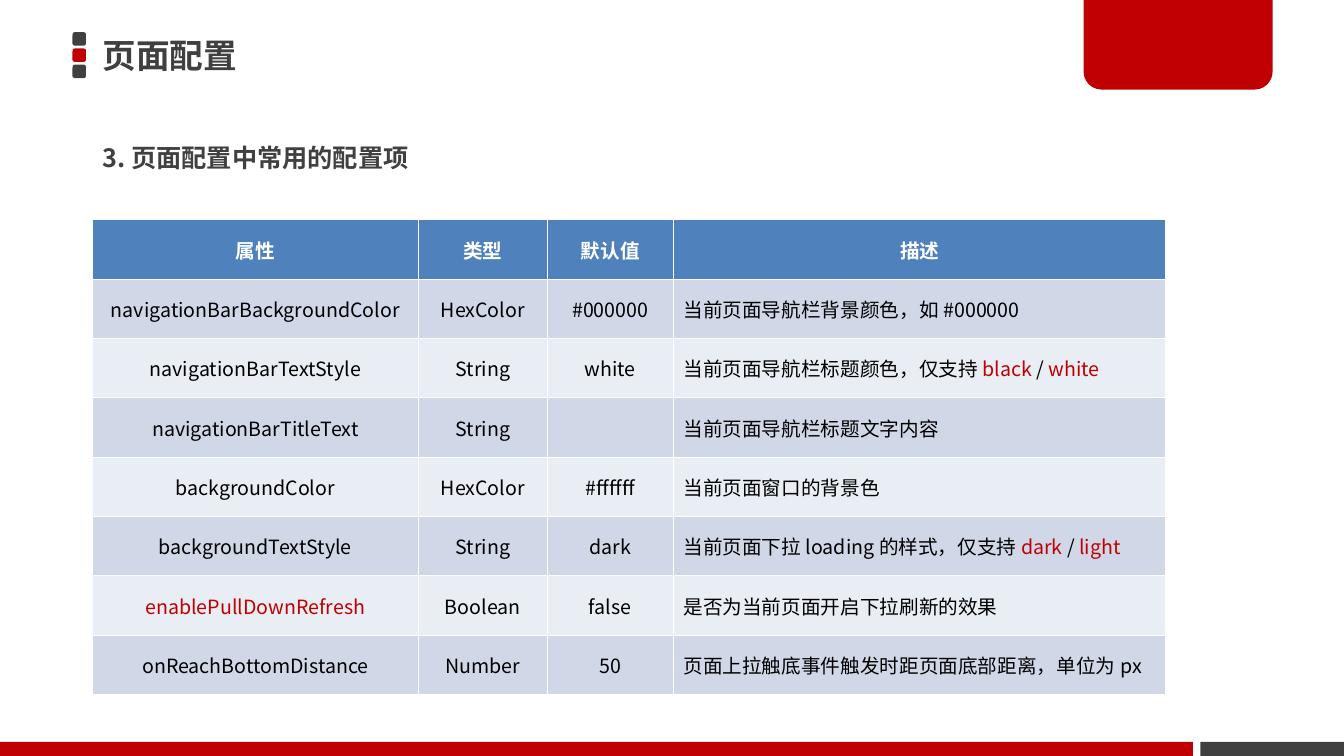
import lxml.etree
import pptx
import pptx.dml.color
import pptx.enum.shapes
import pptx.enum.text
import pptx.oxml.ns
import pptx.util

Pt = pptx.util.Pt
SHAPES = pptx.enum.shapes.MSO_SHAPE
MIDDLE = pptx.enum.text.MSO_ANCHOR.MIDDLE
ALIGN = pptx.enum.text.PP_ALIGN
FONT = "Noto Sans CJK JP"
DARK, RED, WHITE, BLACK = "404040", "C00000", "FFFFFF", "000000"
HEADER_FILL, BAND_FILLS = "4F81BD", ("D0D8E8", "E9EDF4")


def color(hex_string):
    return pptx.dml.color.RGBColor.from_string(hex_string)


def set_font(paragraph, size, hex_string, bold):
    """Set the paragraph font for both Latin and East Asian text."""
    font = paragraph.font
    font.size, font.bold, font.name = Pt(size), bold, FONT
    font.color.rgb = color(hex_string)
    properties = paragraph._p.pPr.find(pptx.oxml.ns.qn("a:defRPr"))
    east_asian = lxml.etree.SubElement(properties, pptx.oxml.ns.qn("a:ea"))
    east_asian.set("typeface", FONT)


presentation = pptx.Presentation()
presentation.slide_width, presentation.slide_height = Pt(960), Pt(540)
slide = presentation.slides.add_slide(presentation.slide_layouts[6])

# Decoration: three title squares, the corner tab and the footer bars
decorations = [
    (SHAPES.ROUNDED_RECTANGLE, 51.8, 23 + 11.6 * index, 9.6, 9.6, fill, [0.167])
    for index, fill in enumerate((DARK, RED, DARK))
]
decorations += [
    (SHAPES.ROUND_2_SAME_RECTANGLE, 774, 0, 135, 64, RED, [0, 0.2]),
    (SHAPES.RECTANGLE, 857.5, 530, 102.5, 10, DARK, []),
    (SHAPES.RECTANGLE, 0, 530, 852, 10, RED, []),
]
for kind, left, top, width, height, fill, adjustments in decorations:
    shape = slide.shapes.add_shape(kind, Pt(left), Pt(top), Pt(width), Pt(height))
    shape.shadow.inherit = False
    shape.fill.solid()
    shape.fill.fore_color.rgb = color(fill)
    shape.line.fill.background()
    for index, value in enumerate(adjustments):
        shape.adjustments[index] = value

# Title and subtitle
for text, top, width, size in (
    ("页面配置", 18.7, 690, 24),
    ("3. 页面配置中常用的配置项", 92.2, 775, 18),
):
    box = slide.shapes.add_textbox(Pt(66.2), Pt(top), Pt(width), Pt(41))
    box.text_frame.word_wrap = True
    box.text_frame.vertical_anchor = MIDDLE
    paragraph = box.text_frame.paragraphs[0]
    paragraph.text = text
    set_font(paragraph, size, DARK, True)

# Table of options; text between bars is red
rows = [
    ("属性", "类型", "默认值", "描述"),
    ("navigationBarBackgroundColor", "HexColor", "#000000", "当前页面导航栏背景颜色，如 #000000"),
    ("navigationBarTextStyle", "String", "white", "当前页面导航栏标题颜色，仅支持 |black |/ |white|"),
    ("navigationBarTitleText", "String", "", "当前页面导航栏标题文字内容"),
    ("backgroundColor", "HexColor", "#ffffff", "当前页面窗口的背景色"),
    ("backgroundTextStyle", "String", "dark", "当前页面下拉 loading 的样式，仅支持 |dark |/ |light|"),
    ("|enablePullDownRefresh|", "Boolean", "false", "是否为当前页面开启下拉刷新的效果"),
    ("onReachBottomDistance", "Number", "50", "页面上拉触底事件触发时距页面底部距离，单位为 px"),
]
column_widths = (232.6, 92.2, 90, 352)
row_height = 42.4
table = slide.shapes.add_table(
    len(rows), len(column_widths), Pt(66.2), Pt(157),
    Pt(sum(column_widths)), Pt(row_height * len(rows)),
).table
for column, width in zip(table.columns, column_widths):
    column.width = Pt(width)

for row_index, texts in enumerate(rows):
    is_header = row_index == 0
    table.rows[row_index].height = Pt(row_height)
    for column_index, text in enumerate(texts):
        cell = table.cell(row_index, column_index)
        cell.vertical_anchor = MIDDLE
        cell.fill.solid()
        cell.fill.fore_color.rgb = color(
            HEADER_FILL if is_header else BAND_FILLS[(row_index - 1) % 2]
        )
        paragraph = cell.text_frame.paragraphs[0]
        is_description = column_index == 3 and not is_header
        paragraph.alignment = ALIGN.LEFT if is_description else ALIGN.CENTER
        set_font(paragraph, 14, WHITE if is_header else BLACK, is_header)
        for part_index, part in enumerate(text.split("|")):
            if part:
                run = paragraph.add_run()
                run.text = part
                if part_index % 2:
                    run.font.color.rgb = color(RED)

presentation.save("out.pptx")
